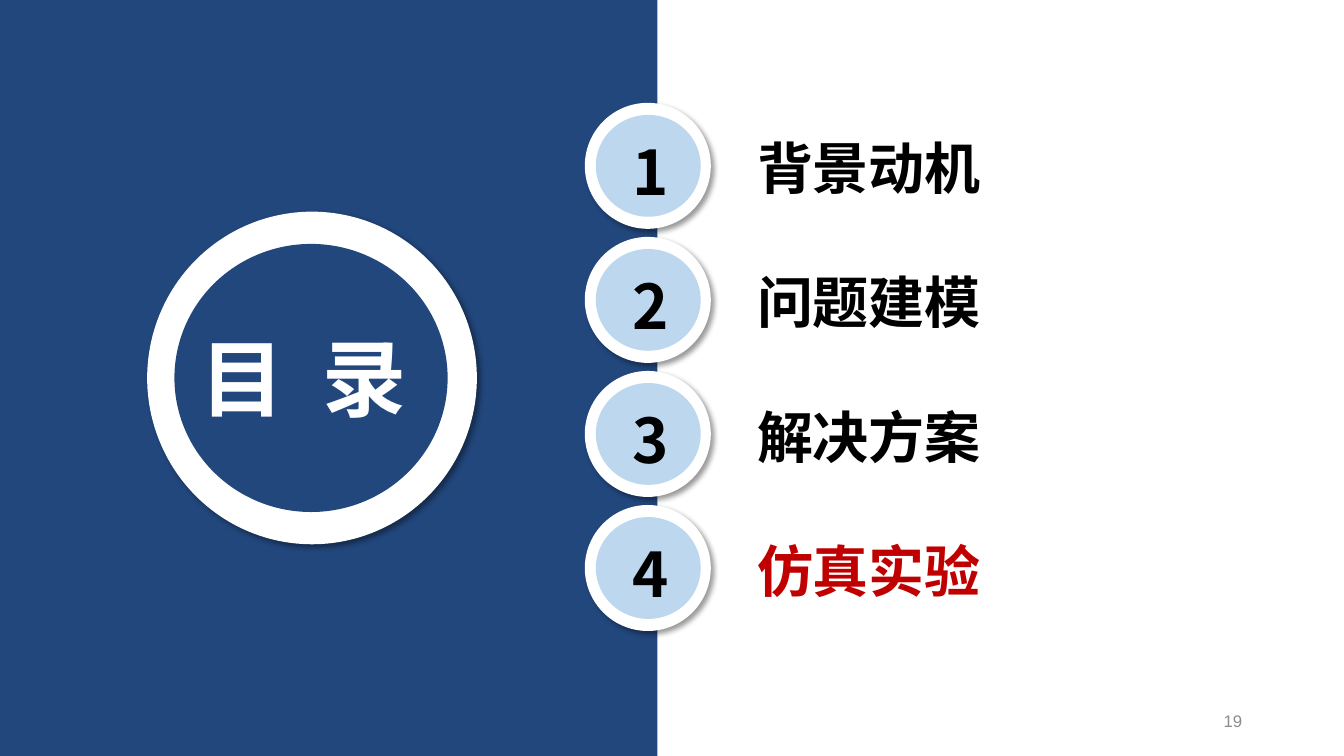
"""Build the agenda slide with four numbered sections."""
from dataclasses import dataclass

from lxml import etree
from pptx import Presentation
from pptx.dml.color import RGBColor
from pptx.enum.shapes import MSO_SHAPE
from pptx.enum.text import MSO_ANCHOR, MSO_AUTO_SIZE, PP_ALIGN
from pptx.oxml.ns import qn
from pptx.util import Inches, Pt

RECT, OVAL = MSO_SHAPE.RECTANGLE, MSO_SHAPE.OVAL
TOP, MIDDLE = MSO_ANCHOR.TOP, MSO_ANCHOR.MIDDLE
LEFT, RIGHT = PP_ALIGN.LEFT, PP_ALIGN.RIGHT
GROW, FIXED = MSO_AUTO_SIZE.SHAPE_TO_FIT_TEXT, MSO_AUTO_SIZE.NONE
NAVY = RGBColor(0x22, 0x47, 0x7D)
PALE = RGBColor(0xBD, 0xD7, 0xEE)
WHITE = RGBColor(0xFF, 0xFF, 0xFF)
BLACK = RGBColor(0, 0, 0)
RED = RGBColor(0xC0, 0, 0)
GREY = RGBColor(0x8C, 0x8C, 0x8C)
CJK, LATIN = "Noto Sans CJK SC", "Arial"
FIRST_TOP, PITCH = 1.02, 1.33


@dataclass(frozen=True)
class Box:
    left: float
    top: float
    width: float
    height: float

    def inches(self) -> tuple:
        return tuple(Inches(v) for v in (self.left, self.top, self.width, self.height))


@dataclass(frozen=True)
class Style:
    size: int
    color: RGBColor
    font: str = CJK
    bold: bool = True
    align: int = LEFT
    spacing: float = 0


@dataclass(frozen=True)
class Section:
    title: str
    color: RGBColor = BLACK


SECTIONS = (Section("背景动机"), Section("问题建模"),
            Section("解决方案"), Section("仿真实验", RED))


def add_shadow(sp) -> None:
    effects = sp._element.spPr.find(qn("a:effectLst"))
    shadow = etree.SubElement(effects, qn("a:outerShdw"), blurRad=str(Pt(4)),
                              dist=str(Pt(3)), dir=str(45 * 60000),
                              algn="tl", rotWithShape="0")
    color = etree.SubElement(shadow, qn("a:srgbClr"), val="000000")
    etree.SubElement(color, qn("a:alpha"), val="40000")


def add_filled(shapes, kind: int, box: Box, color: RGBColor, shadow: bool = False) -> None:
    sp = shapes.add_shape(kind, *box.inches())
    sp.fill.solid()
    sp.fill.fore_color.rgb = color
    sp.line.fill.background()
    sp.shadow.inherit = False
    if shadow:
        add_shadow(sp)


def add_ring(shapes, outer: Box, inner: Box, color: RGBColor) -> None:
    add_filled(shapes, OVAL, outer, WHITE, shadow=True)
    add_filled(shapes, OVAL, inner, color)


def set_text(sp, text: str, style: Style, grow: bool = True) -> None:
    tf = sp.text_frame
    tf.word_wrap = not grow
    tf.auto_size = GROW if grow else FIXED
    tf.vertical_anchor = TOP if grow else MIDDLE
    p = tf.paragraphs[0]
    p.text = text
    p.alignment = style.align
    font = p.font
    font.name, font.size, font.bold = style.font, Pt(style.size), style.bold
    font.color.rgb = style.color
    props = p._p.pPr.find(qn("a:defRPr"))
    props.set("spc", str(round(style.spacing * 100)))
    etree.SubElement(props, qn("a:ea"), typeface=style.font)


def add_text(shapes, box: Box, text: str, style: Style, grow: bool = True) -> None:
    set_text(shapes.add_textbox(*box.inches()), text, style, grow)


def add_title(s) -> None:
    title = s.shapes.title
    title.left, title.top, title.width, title.height = Box(1.89, 3.19, 2.39, 1.11).inches()
    set_text(title, "目 录", Style(60, WHITE, spacing=6.7))
    s.shapes._spTree.append(title._element)


def add_section(s, number: int, section: Section) -> None:
    top = FIRST_TOP + (number - 1) * PITCH
    shapes = s.shapes.add_group_shape().shapes
    add_ring(shapes, Box(5.8, top, 1.25, 1.25), Box(5.91, top + 0.12, 1.04, 1.01), PALE)
    add_text(shapes, Box(6.17, top + 0.26, 0.75, 1.09), str(number), Style(44, BLACK))
    add_text(shapes, Box(7.41, top + 0.26, 2.45, 0.77), section.title,
             Style(40, section.color))


def main() -> None:
    prs = Presentation()
    prs.slide_width, prs.slide_height = Inches(13.33), Inches(7.5)
    s = prs.slides.add_slide(prs.slide_layouts.get_by_name("Title Only"))
    add_filled(s.shapes, RECT, Box(0, -0.01, 6.52, 7.51), NAVY)
    add_ring(s.shapes.add_group_shape().shapes, Box(1.46, 2.1, 3.27, 3.3),
             Box(1.73, 2.42, 2.71, 2.66), NAVY)
    add_title(s)
    add_text(s.shapes, Box(9.42, 6.95, 3, 0.4), "19",
             Style(12, GREY, LATIN, bold=False, align=RIGHT), grow=False)
    for number, section in enumerate(SECTIONS, 1):
        add_section(s, number, section)
    prs.save("out.pptx")


if __name__ == "__main__":
    main()
